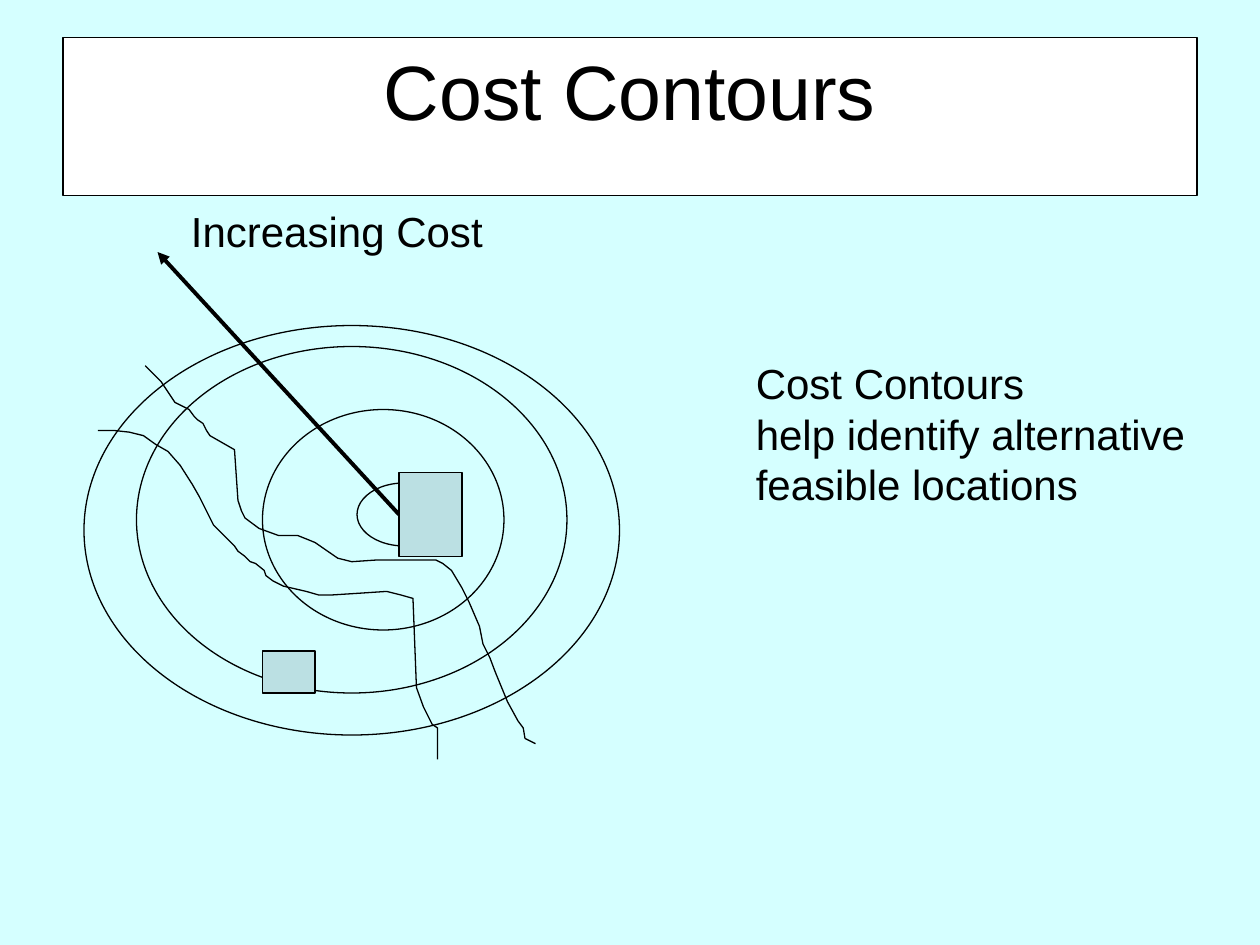
"""Builds the Cost Contours slide: nested contours around a site beside a river."""
import pptx
import pptx.dml.color
import pptx.enum.shapes
import pptx.enum.text
import pptx.oxml
import pptx.oxml.ns
import pptx.util

Pt = pptx.util.Pt
SHAPE = pptx.enum.shapes.MSO_SHAPE
ALIGN = pptx.enum.text.PP_ALIGN

BLACK = pptx.dml.color.RGBColor(0x00, 0x00, 0x00)
WHITE = pptx.dml.color.RGBColor(0xFF, 0xFF, 0xFF)
PALE_CYAN = pptx.dml.color.RGBColor(0xD5, 0xFF, 0xFF)
SITE_BLUE = pptx.dml.color.RGBColor(0xBB, 0xE0, 0xE3)

INNER_CONTOUR = (150, 234, 138, 126)
OPEN_CONTOURS = [(204, 276, 54, 36), (78, 198, 246, 198), (48, 186, 306, 234)]
SITES = [(150, 372, 30, 24), (228, 270, 36, 48)]
WEST_BANK = [
    (55.5, 245.5), (65, 246), (74, 247), (81.5, 249), (89, 253.5), (96.5, 258.5),
    (103, 265.5), (109.5, 277), (114.5, 284.5), (122, 300), (128, 306.5),
    (134.5, 312), (136.5, 315), (140.5, 317.5), (143, 321), (146, 322.5),
    (151, 325.5), (152, 329), (156, 332.5), (162.5, 335), (175, 337.5),
    (182, 339.5), (190, 340), (205.5, 339), (221, 338.5), (229, 339.5),
    (236, 341.5), (237.5, 393), (241.5, 404), (247, 414), (250.5, 415.5),
    (250.5, 434),
]
EAST_BANK = [
    (83, 209), (92, 218), (100, 230.5), (107.5, 234.5), (111, 237.5),
    (113, 240.5), (116.5, 242), (118, 245.5), (120, 249), (127, 253),
    (134.5, 257), (136, 286), (137.5, 291.5), (140, 296), (148, 302),
    (159, 305.5), (170, 306.5), (180.5, 310.5), (193, 319), (197, 320.5),
    (201, 321), (215.5, 320.5), (249, 319.5), (253, 321.5), (257.5, 326),
    (264, 335.5), (268, 343.5), (273.5, 358), (276, 367.5), (280, 376.5),
    (283, 384), (289.5, 401), (296, 412), (299, 415.5), (300.5, 422),
    (304.5, 424), (306, 425),
]


def style_outline(shape, fill=None):
    """Give a shape a thin black outline and an optional fill."""
    shape.shadow.inherit = False
    shape.line.color.rgb = BLACK
    shape.line.width = Pt(0.75)
    if fill is None:
        shape.fill.background()
    else:
        shape.fill.solid()
        shape.fill.fore_color.rgb = fill


def add_outlined(page, kind, bounds, fill=None):
    """Add a preset shape with a black outline."""
    shape = page.shapes.add_shape(kind, *map(Pt, bounds))
    style_outline(shape, fill)
    return shape


def write_text(shape, lines, size, align, wrap):
    """Write one paragraph per line, set from the top of the shape."""
    frame = shape.text_frame
    frame.word_wrap = wrap
    frame.vertical_anchor = pptx.enum.text.MSO_ANCHOR.TOP
    for index, line in enumerate(lines):
        para = frame.paragraphs[0] if index == 0 else frame.add_paragraph()
        para.alignment = align
        span = para.add_run()
        span.text = line
        span.font.color.rgb = BLACK
        for name, value in {"name": "Arial", "size": Pt(size)}.items():
            setattr(span.font, name, value)


def add_label(page, bounds, lines):
    """Add a plain label that grows with its text instead of wrapping."""
    box = page.shapes.add_textbox(*map(Pt, bounds))
    write_text(box, lines, 24, ALIGN.LEFT, False)
    box.text_frame.auto_size = pptx.enum.text.MSO_AUTO_SIZE.SHAPE_TO_FIT_TEXT


def add_bank(page, points):
    """Draw one bank of the river as an open outline."""
    builder = page.shapes.build_freeform(*points[0], scale=Pt(1))
    builder.add_line_segments(points[1:], close=False)
    style_outline(builder.convert_to_shape())


def add_arrow(page, start, end):
    """Draw a thick arrow from start to end."""
    kind = pptx.enum.shapes.MSO_CONNECTOR.STRAIGHT
    arrow = page.shapes.add_connector(kind, *map(Pt, start + end))
    arrow.line.color.rgb = BLACK
    arrow.line.width = Pt(2.25)
    head = pptx.oxml.parse_xml(
        f'<a:tailEnd {pptx.oxml.ns.nsdecls("a")} type="triangle"/>')
    arrow.line._get_or_add_ln().append(head)
    effects = pptx.oxml.parse_xml(f'<a:effectLst {pptx.oxml.ns.nsdecls("a")}/>')
    arrow._element.spPr.append(effects)


def main():
    """Build the slide and save it."""
    deck = pptx.Presentation()
    deck.slide_width, deck.slide_height = Pt(720), Pt(540)
    page = deck.slides.add_slide(deck.slide_layouts[6])
    page.background.fill.solid()
    page.background.fill.fore_color.rgb = PALE_CYAN

    add_outlined(page, SHAPE.OVAL, INNER_CONTOUR, PALE_CYAN)
    title = add_outlined(page, SHAPE.RECTANGLE, (36, 21.6, 648, 90), WHITE)
    write_text(title, ["Cost Contours"], 44, ALIGN.CENTER, True)
    for bounds in OPEN_CONTOURS:
        add_outlined(page, SHAPE.OVAL, bounds)
    add_arrow(page, (228, 294), (90, 144))
    add_label(page, (102, 114, 182, 36), ["Increasing Cost"])
    for bank in (WEST_BANK, EAST_BANK):
        add_bank(page, bank)
    for bounds in SITES:
        add_outlined(page, SHAPE.RECTANGLE, bounds, SITE_BLUE)
    add_label(page, (424.8, 201, 260, 93.6),
              ["Cost Contours", "help identify alternative", "feasible locations"])
    deck.save("out.pptx")


if __name__ == "__main__":
    main()
